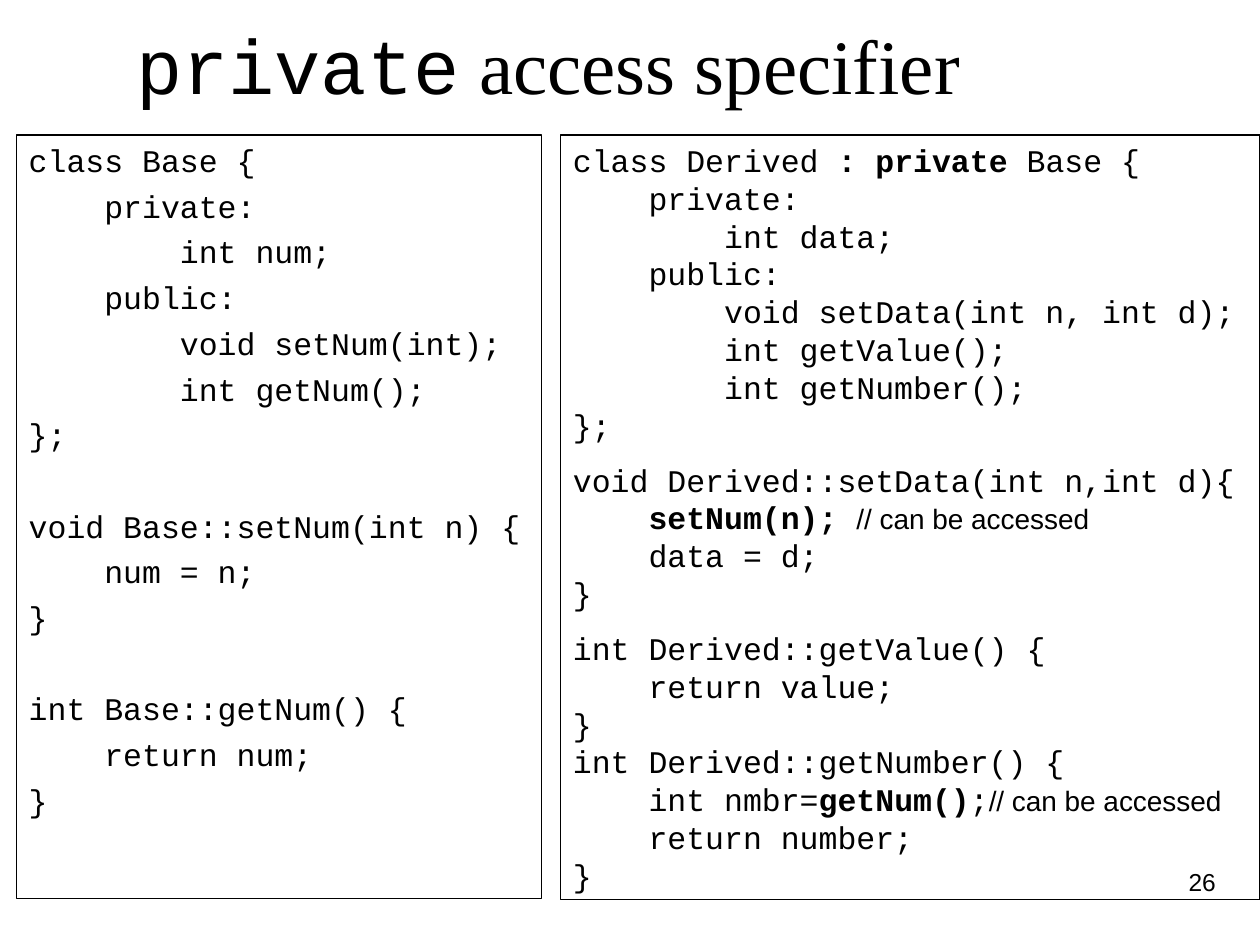
import dataclasses

import pptx
import pptx.dml.color
import pptx.enum.shapes
import pptx.enum.text
import pptx.util

Cm, Pt = pptx.util.Cm, pptx.util.Pt
Align, Anchor = pptx.enum.text.PP_ALIGN, pptx.enum.text.MSO_ANCHOR


@dataclasses.dataclass(frozen=True)
class Theme:
    ink: pptx.dml.color.RGBColor = pptx.dml.color.RGBColor(0, 0, 0)
    mono: str = "Courier New"
    sans: str = "Arial"
    serif: str = "Times New Roman"
    title: int = 44
    code: int = 18
    note: int = 16
    page: int = 14
    line: float = 21.6


THEME = Theme()

BASE = """class Base {
    private:
        int num;
    public:
        void setNum(int);
        int getNum();
};

void Base::setNum(int n) {
    num = n;
}

int Base::getNum() {
    return num;
}"""

# Backticks enclose bold code.
DERIVED = """class Derived `: private `Base {
    private:
        int data;
    public:
        void setData(int n, int d);
        int getValue();
        int getNumber();
};

void Derived::setData(int n,int d){
    `setNum(n); `// can be accessed
    data = d;
}

int Derived::getValue() {
    return value;
}
int Derived::getNumber() {
    int nmbr=`getNum()`;// can be accessed
    return number;
}"""


def write(par, text, font=THEME.mono, size=THEME.code, bold=False):
    run = par.add_run()
    run.text = text
    run.font.name = font
    run.font.size = Pt(size)
    run.font.bold = bold
    run.font.color.rgb = THEME.ink


def add_line(par, line):
    """Write one line of code, with its bold parts and its comment."""
    code, mark, note = line.partition("//")
    for i, part in enumerate(code.split("`")):
        if part:
            write(par, part, bold=i % 2 == 1)
    if mark:
        write(par, mark + note, font=THEME.sans, size=THEME.note)


def add_code(slide, code, box, space, gap):
    """Frame a listing; a blank line in it becomes extra space of gap points."""
    shape = slide.shapes.add_shape(
        pptx.enum.shapes.MSO_SHAPE.RECTANGLE, *map(Cm, box))
    shape.shadow.inherit = False
    shape.fill.background()
    shape.line.color.rgb = THEME.ink
    shape.line.width = Pt(0.75)
    frame = shape.text_frame
    frame.word_wrap = True
    frame.vertical_anchor = Anchor.TOP
    par, before = frame.paragraphs[0], 0
    for line in code.splitlines():
        if not line:
            before += gap
            continue
        if par is None:
            par = frame.add_paragraph()
        par.alignment = Align.LEFT
        par.line_spacing = Pt(THEME.line)
        par.space_before = Pt(before)
        add_line(par, line)
        par, before = None, space


def add_title(slide):
    title = slide.shapes.title
    title.left, title.top, title.width, title.height = map(
        Cm, (2.49, 0, 21.69, 2.57))
    frame = title.text_frame
    frame.auto_size = pptx.enum.text.MSO_AUTO_SIZE.NONE
    frame.vertical_anchor = Anchor.MIDDLE
    par = frame.paragraphs[0]
    par.alignment = Align.LEFT
    write(par, "private", size=THEME.title)
    write(par, " access specifier", font=THEME.serif, size=THEME.title)


def add_page(slide, text):
    box = slide.shapes.add_textbox(*map(Cm, (19.48, 17.35, 5.28, 1.27)))
    box.text_frame.word_wrap = True
    par = box.text_frame.paragraphs[0]
    par.alignment = Align.RIGHT
    write(par, text, font=THEME.sans, size=THEME.page)


def main():
    deck = pptx.Presentation()
    deck.slide_width, deck.slide_height = Cm(25.4), Cm(19.05)
    slide = deck.slides.add_slide(deck.slide_layouts[5])
    add_title(slide)
    add_page(slide, "26")
    add_code(slide, BASE, (0.33, 2.72, 10.59, 15.39), space=4.5, gap=26.1)
    add_code(slide, DERIVED, (11.3, 2.72, 14.1, 15.42), space=0, gap=9.8)
    deck.save("out.pptx")


if __name__ == "__main__":
    main()
